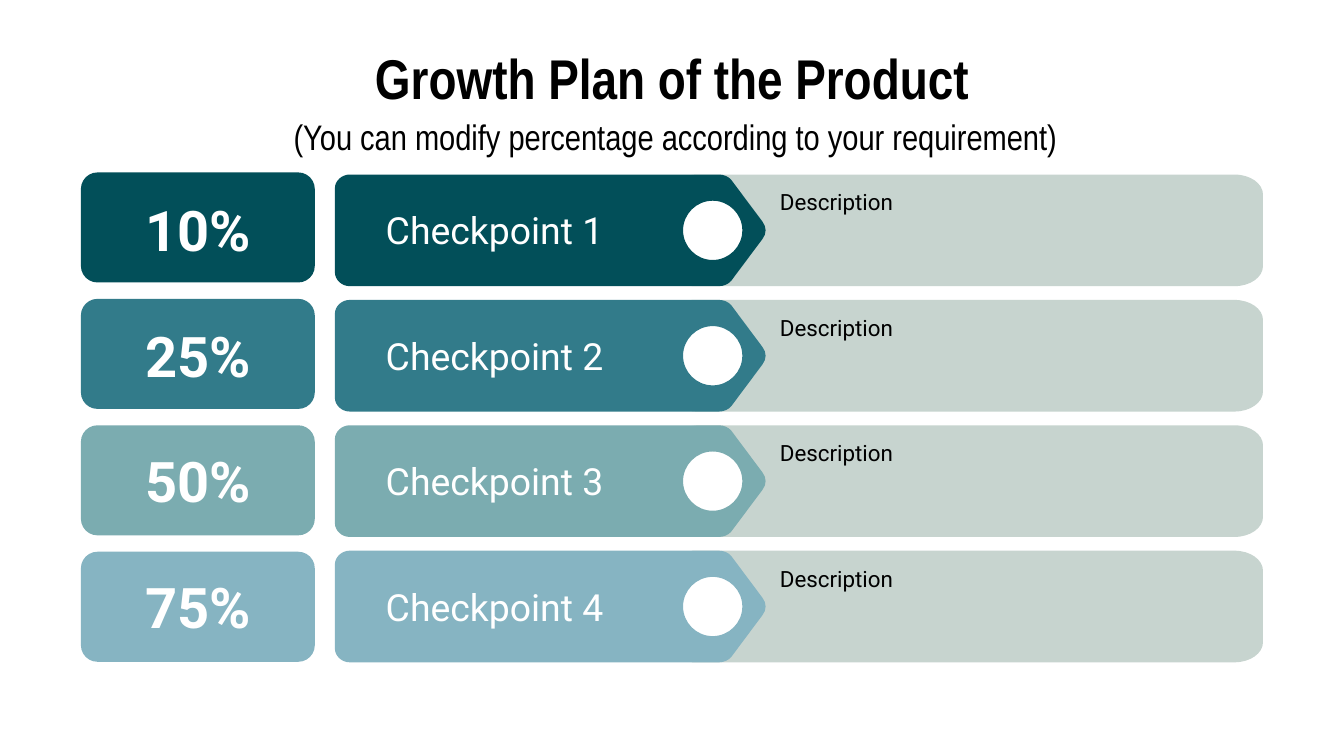
from lxml.etree import Element, SubElement
from pptx import Presentation
from pptx.dml.color import RGBColor
from pptx.enum.shapes import MSO_SHAPE
from pptx.enum.text import MSO_ANCHOR, MSO_AUTO_SIZE, PP_ALIGN
from pptx.oxml.ns import qn
from pptx.util import Cm, Pt

# Content
TITLE = "Growth Plan of the Product"
SUBTITLE = "(You can modify percentage according to your requirement)"
CHECKPOINTS = [
    ("10%", "Checkpoint 1", "Description", "024F59"),
    ("25%", "Checkpoint 2", "Description", "327B8A"),
    ("50%", "Checkpoint 3", "Description", "7BACB0"),
    ("75%", "Checkpoint 4", "Description", "86B4C2"),
]

# Theme: text styles and colours
THEME = {
    "panel": "C7D4CF",
    "title": {"name": "Arial Narrow", "size": 30, "bold": True, "color": "000000"},
    "subtitle": {"name": "Arial Narrow", "size": 19, "bold": False, "color": "000000"},
    "percent": {"name": "Roboto", "size": 30, "bold": True, "color": "FFFFFF"},
    "checkpoint": {"name": "Roboto", "size": 20, "bold": False, "color": "FFFFFF"},
    "description": {"name": "Roboto", "size": 12, "bold": False, "color": "000000"},
}

# Layout in centimetres: left, top, width, height of the first row
TITLE_BOX = (6.43, 0.57, 12.55, 1.73)
SUBTITLE_BOX = (4.98, 1.93, 15.57, 1.73)
CARD_BOX = (1.53, 3.26, 4.42, 2.08)
PERCENT_BOX = (1.53, 3.44, 4.42, 1.3)
CHECKPOINT_BOX = (7.04, 3.66, 5.69, 0.81)
DESCRIPTION_BOX = (14.49, 3.3, 9.02, 2.08)
BAND_LEFT, BAND_TOP, BAND_HEIGHT = 6.33, 3.3, 2.11
BAND_STEP, CARD_STEP, TEXT_STEP = 2.37, 2.39, 2.38
MIDDLE = BAND_HEIGHT / 2
HOLE_X, HOLE_RADIUS = 7.14, 0.56

# Upper halves of the outlines: one point is a corner, four are a Bezier curve
ARROW_HALF = [
    ((0, 0.26), (0, 0.12), (0.13, 0), (0.28, 0)),
    ((7.26, 0), (7.35, 0), (7.44, 0.04), (7.49, 0.1)),
    ((8.08, 0.89), (8.12, 0.94), (8.14, 1), (8.14, MIDDLE)),
]
PANEL_HALF = [
    ((7.98, MIDDLE), (7.98, 1), (7.95, 0.94), (7.9, 0.89)),
    ((7.04, 0.1), (6.96, 0.04), (6.86, 0), (6.74, 0)),
    ((17, 0), (17.3, 0), (17.54, 0.17), (17.54, 0.38)),
]


def mirrored(half):
    lower = [tuple((x, BAND_HEIGHT - y) for x, y in reversed(part))
             for part in reversed(half)]
    return half + lower


def circle(center_x, center_y, radius):
    pull = 0.55
    corners = [(0, -1), (1, 0), (0, 1), (-1, 0)]
    parts = []
    for index, (ax, ay) in enumerate(corners):
        bx, by = corners[(index + 1) % 4]
        unit = [(ax, ay), (ax + pull * bx, ay + pull * by),
                (bx + pull * ax, by + pull * ay), (bx, by)]
        parts.append(tuple((center_x + radius * x, center_y + radius * y)
                           for x, y in unit))
    return parts


def paint(shape, color):
    shape.shadow.inherit = False
    shape.fill.solid()
    shape.fill.fore_color.rgb = RGBColor.from_string(color)
    shape.line.fill.background()


def add_outline(shapes, contours, top, color):
    # Anchor points become straight segments; controls holds the handles of each
    builder, controls = None, []
    for contour in contours:
        anchors = []
        for part in contour:
            points = [(Cm(BAND_LEFT + x), Cm(top + y)) for x, y in part]
            if not anchors or anchors[-1] != points[0]:
                if anchors:
                    controls.append(())
                anchors.append(points[0])
            if len(points) == 4:
                anchors.append(points[3])
                controls.append(points[1:3])
        if builder is None:
            builder = shapes.build_freeform(*anchors[0], scale=1.0)
        else:
            builder.move_to(*anchors[0])
        builder.add_line_segments(anchors[1:], close=True)
    shape = builder.convert_to_shape()
    paint(shape, color)

    # Turn the segments that have handles into Bezier curves
    segments = list(shape.element.iter(qn("a:lnTo")))
    for segment, handles in zip(segments, controls):
        if handles:
            curve = Element(qn("a:cubicBezTo"))
            for x, y in handles:
                SubElement(curve, qn("a:pt"), x=str(x - shape.left),
                           y=str(y - shape.top))
            curve.append(segment[0])
            segment.getparent().replace(segment, curve)


def moved(box, offset):
    left, top, width, height = box
    return [Cm(value) for value in (left, top + offset, width, height)]


def write(shape, text, style, alignment=PP_ALIGN.LEFT):
    frame = shape.text_frame
    settings = {"word_wrap": True, "auto_size": MSO_AUTO_SIZE.NONE,
                "vertical_anchor": MSO_ANCHOR.TOP}
    settings.update({f"margin_{side}": Cm(0.25)
                     for side in ("left", "top", "right", "bottom")})
    for name, value in settings.items():
        setattr(frame, name, value)
    paragraph = frame.paragraphs[0]
    paragraph.alignment = alignment
    run = paragraph.add_run()
    run.text = text
    values = dict(THEME[style])
    run.font.color.rgb = RGBColor.from_string(values.pop("color"))
    values["size"] = Pt(values["size"])
    for name, value in values.items():
        setattr(run.font, name, value)


def add_row(slide, index, percent, checkpoint, description, color):
    shapes = slide.shapes.add_group_shape().shapes
    band_top = BAND_TOP + index * BAND_STEP

    # Description panel, then the arrow with its round hole
    add_outline(shapes, [mirrored(PANEL_HALF)], band_top, THEME["panel"])
    hole = circle(HOLE_X, MIDDLE, HOLE_RADIUS)
    add_outline(shapes, [hole, mirrored(ARROW_HALF)], band_top, color)

    # Percentage card
    card = shapes.add_shape(MSO_SHAPE.ROUNDED_RECTANGLE,
                            *moved(CARD_BOX, index * CARD_STEP))
    card.adjustments[0] = 0.15
    paint(card, color)

    # Labels
    for box, text, style, alignment in (
        (CHECKPOINT_BOX, checkpoint, "checkpoint", PP_ALIGN.LEFT),
        (DESCRIPTION_BOX, description, "description", PP_ALIGN.LEFT),
        (PERCENT_BOX, percent, "percent", PP_ALIGN.CENTER),
    ):
        label = shapes.add_textbox(*moved(box, index * TEXT_STEP))
        write(label, text, style, alignment)


def main():
    presentation = Presentation()
    presentation.slide_width, presentation.slide_height = Cm(25.4), Cm(14.29)
    slide = presentation.slides.add_slide(presentation.slide_layouts[5])

    # Title
    title = slide.shapes.title
    title.left, title.top, title.width, title.height = moved(TITLE_BOX, 0)
    write(title, TITLE, "title", PP_ALIGN.CENTER)

    # Checkpoint rows
    for index, row in enumerate(CHECKPOINTS):
        add_row(slide, index, *row)

    # Subtitle
    subtitle = slide.shapes.add_textbox(*moved(SUBTITLE_BOX, 0))
    write(subtitle, SUBTITLE, "subtitle", PP_ALIGN.CENTER)

    presentation.save("out.pptx")


if __name__ == "__main__":
    main()
